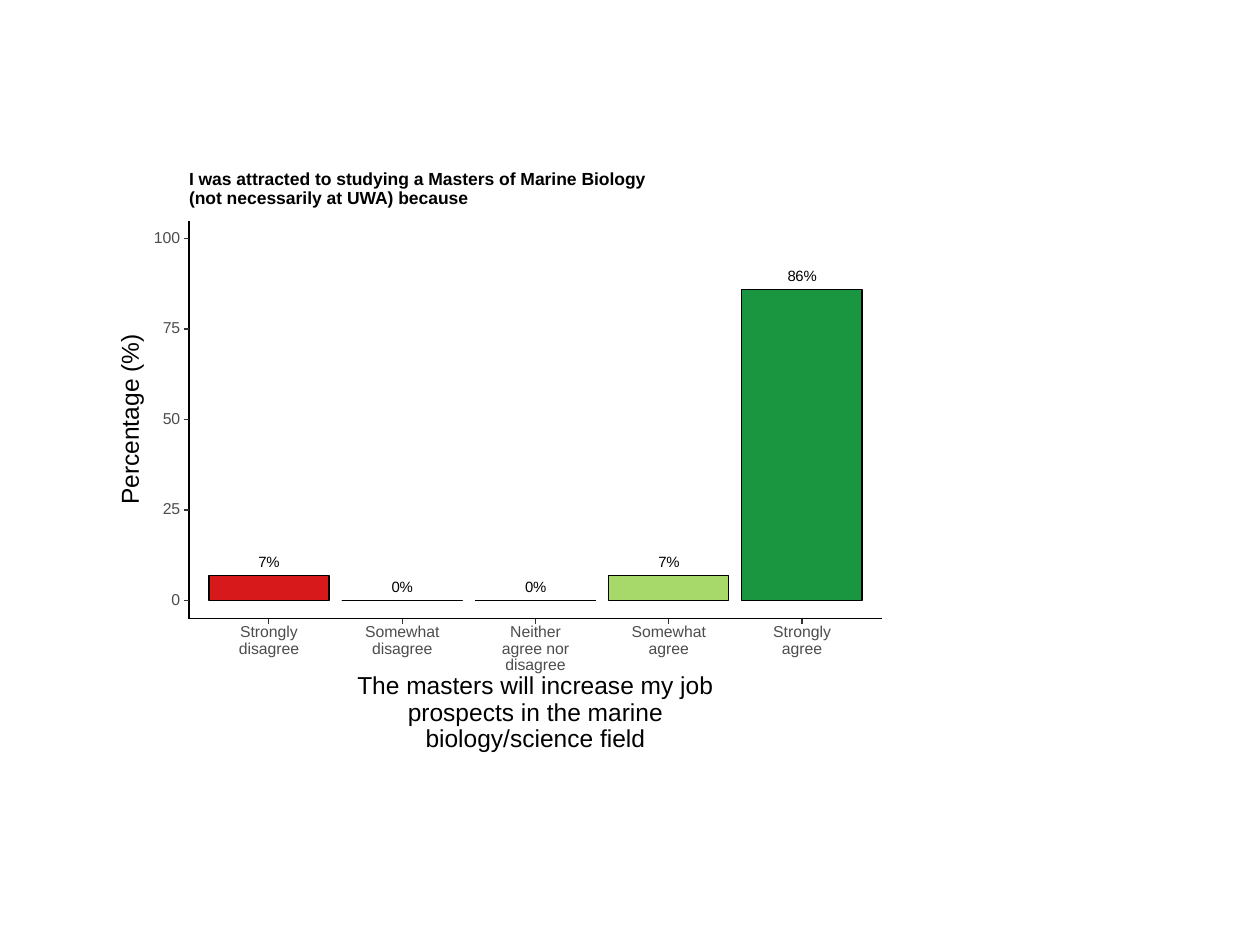
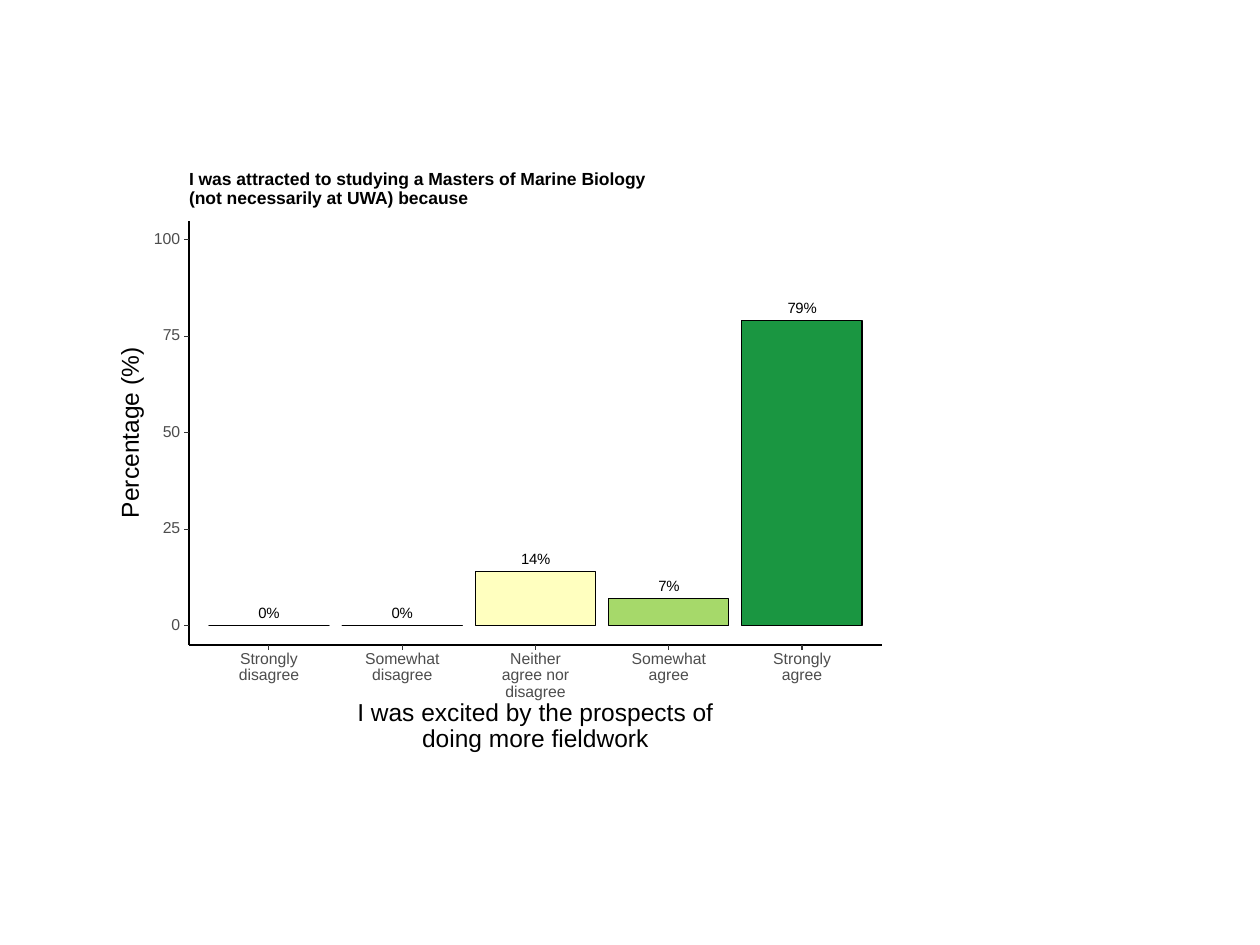
"""Build two survey slides, each with a bar chart of agreement percentages."""
from lxml.etree import SubElement
from pptx import Presentation
from pptx.chart.data import CategoryChartData
from pptx.dml.color import RGBColor
from pptx.enum.chart import XL_CHART_TYPE, XL_LABEL_POSITION, XL_TICK_LABEL_POSITION
from pptx.enum.shapes import MSO_CONNECTOR
from pptx.enum.text import MSO_ANCHOR, PP_ALIGN
from pptx.oxml import parse_xml
from pptx.oxml.ns import nsdecls, qn
from pptx.util import Pt

FONT = "Arial"
BLACK, LABEL_GREY, TICK_GREY = "000000", "4D4D4D", "333333"
LINE_WIDTH = 0.64
HEADING = "I was attracted to studying a Masters of Marine Biology\n(not necessarily at UWA) because"
ANSWERS = {
    "Strongly\ndisagree": "D7191C",
    "Somewhat\ndisagree": "FDAE61",
    "Neither\nagree nor\ndisagree": "FFFFBF",
    "Somewhat\nagree": "A6D96A",
    "Strongly\nagree": "1A9641",
}
QUESTIONS = [
    {
        "statement": "The masters will increase my job\nprospects in the marine\nbiology/science field",
        "percentages": (7, 0, 0, 7, 86),
        "axis_bottom": 353.5,
    },
    {
        "statement": "I was excited by the prospects of\ndoing more fieldwork",
        "percentages": (0, 0, 14, 7, 79),
        "axis_bottom": 368.6,
    },
]
CHART_LEFT, CHART_TOP, CHART_WIDTH, CHART_HEIGHT = 72, 72, 432, 360
AXIS_LEFT, AXIS_RIGHT, AXIS_TOP = 108, 504, 126
TICK_LENGTH = 2.8
SCALE_MARGIN, SCALE_RANGE = 5, 110
CATEGORY_WIDTH = (AXIS_RIGHT - AXIS_LEFT) / 5.2
BARS_LEFT = AXIS_LEFT + 0.1 * CATEGORY_WIDTH


def add_label(slide, text, box, anchor, alignment, spacing, font_values, color=BLACK):
    shape = slide.shapes.add_textbox(*(Pt(length) for length in box))
    frame = shape.text_frame
    frame_values = {
        "margin_left": 0, "margin_right": 0, "margin_top": 0, "margin_bottom": 0,
        "word_wrap": True, "vertical_anchor": anchor, "text": text,
    }
    for name, value in frame_values.items():
        setattr(frame, name, value)
    for paragraph in frame.paragraphs:
        paragraph.alignment = alignment
        paragraph.line_spacing = Pt(spacing)
        for name, value in {"name": FONT, **font_values}.items():
            setattr(paragraph.font, name, value)
        paragraph.font.color.rgb = RGBColor.from_string(color)
    return shape


def add_line(slide, start_x, start_y, end_x, end_y, color):
    points = (Pt(length) for length in (start_x, start_y, end_x, end_y))
    connector = slide.shapes.add_connector(MSO_CONNECTOR.STRAIGHT, *points)
    connector.line.width = Pt(LINE_WIDTH)
    connector.line.color.rgb = RGBColor.from_string(color)
    SubElement(connector.element.spPr, qn("a:effectLst"))


presentation = Presentation()
presentation.slide_width, presentation.slide_height = Pt(720), Pt(540)

for question in QUESTIONS:
    slide = presentation.slides.add_slide(presentation.slide_layouts[6])
    axis_bottom = question["axis_bottom"]
    percent_height = (axis_bottom - AXIS_TOP) / SCALE_RANGE
    zero_y = axis_bottom - SCALE_MARGIN * percent_height

    chart_data = CategoryChartData(number_format='0"%"')
    chart_data.categories = [answer.replace("\n", " ") for answer in ANSWERS]
    chart_data.add_series("Percentage (%)", question["percentages"])
    chart = slide.shapes.add_chart(
        XL_CHART_TYPE.COLUMN_CLUSTERED,
        Pt(CHART_LEFT), Pt(CHART_TOP), Pt(CHART_WIDTH), Pt(CHART_HEIGHT), chart_data,
    ).chart
    chart.has_title = False
    chart.has_legend = False
    chart.font.name = FONT
    chart.font.size = Pt(8.5)
    chart.font.color.rgb = RGBColor.from_string(BLACK)

    value_axis_values = {
        "minimum_scale": 0, "maximum_scale": 100, "major_unit": 25,
        "has_major_gridlines": False, "visible": False,
    }
    for name, value in value_axis_values.items():
        setattr(chart.value_axis, name, value)
    chart.category_axis.tick_label_position = XL_TICK_LABEL_POSITION.NONE
    chart.category_axis.visible = False

    plot = chart.plots[0]
    plot.gap_width = 11
    plot.vary_by_categories = False
    plot.has_data_labels = True
    label_values = {
        "show_value": True, "number_format": '0"%"',
        "number_format_is_linked": False, "position": XL_LABEL_POSITION.OUTSIDE_END,
    }
    for name, value in label_values.items():
        setattr(plot.data_labels, name, value)
    for index, color in enumerate(ANSWERS.values()):
        bar = plot.series[0].points[index].format
        bar.fill.solid()
        bar.fill.fore_color.rgb = RGBColor.from_string(color)
        bar.line.width = Pt(LINE_WIDTH)
        bar.line.color.rgb = RGBColor.from_string(BLACK)

    plot_area = chart.element.xpath(".//c:plotArea")[0]
    for layout in plot_area.findall(qn("c:layout")):
        plot_area.remove(layout)
    fractions = {
        "x": (BARS_LEFT - CHART_LEFT) / CHART_WIDTH,
        "y": (zero_y - 100 * percent_height - CHART_TOP) / CHART_HEIGHT,
        "w": len(ANSWERS) * CATEGORY_WIDTH / CHART_WIDTH,
        "h": 100 * percent_height / CHART_HEIGHT,
    }
    layout_values = {"layoutTarget": "inner", "xMode": "edge", "yMode": "edge", **fractions}
    layout = parse_xml(f"<c:layout {nsdecls('c')}><c:manualLayout/></c:layout>")
    for name, value in layout_values.items():
        SubElement(layout[0], qn(f"c:{name}")).set("val", str(value))
    plot_area.insert(0, layout)

    add_line(slide, AXIS_LEFT, axis_bottom, AXIS_LEFT, AXIS_TOP, BLACK)
    add_line(slide, AXIS_LEFT, axis_bottom, AXIS_RIGHT, axis_bottom, BLACK)
    for percent in range(0, 101, 25):
        tick_y = zero_y - percent * percent_height
        add_line(slide, AXIS_LEFT - TICK_LENGTH, tick_y, AXIS_LEFT, tick_y, TICK_GREY)
        add_label(slide, str(percent), (83, tick_y - 4.5, 20, 9), MSO_ANCHOR.MIDDLE,
                  PP_ALIGN.RIGHT, 9, {"size": Pt(9)}, LABEL_GREY)
    for index, answer in enumerate(ANSWERS):
        left = BARS_LEFT + index * CATEGORY_WIDTH
        tick_x = left + CATEGORY_WIDTH / 2
        add_line(slide, tick_x, axis_bottom + TICK_LENGTH, tick_x, axis_bottom, TICK_GREY)
        add_label(slide, answer, (left, axis_bottom + 3.4, CATEGORY_WIDTH, 28.2), MSO_ANCHOR.TOP,
                  PP_ALIGN.CENTER, 9.4, {"size": Pt(9)}, LABEL_GREY)

    statement_height = 15.1 * len(question["statement"].split("\n"))
    add_label(slide, question["statement"], (AXIS_LEFT, 430 - statement_height, 396, statement_height),
              MSO_ANCHOR.BOTTOM, PP_ALIGN.CENTER, 15.1, {"size": Pt(14)})
    axis_title = add_label(slide, "Percentage (%)", (20.2, (AXIS_TOP + axis_bottom) / 2 - 7, 110, 14),
                           MSO_ANCHOR.MIDDLE, PP_ALIGN.CENTER, 14, {"size": Pt(14)})
    axis_title.rotation = 270
    add_label(slide, HEADING, (AXIS_LEFT, 97.2, 300, 21.6), MSO_ANCHOR.TOP,
              PP_ALIGN.LEFT, 10.8, {"size": Pt(10), "bold": True})

presentation.save("out.pptx")
